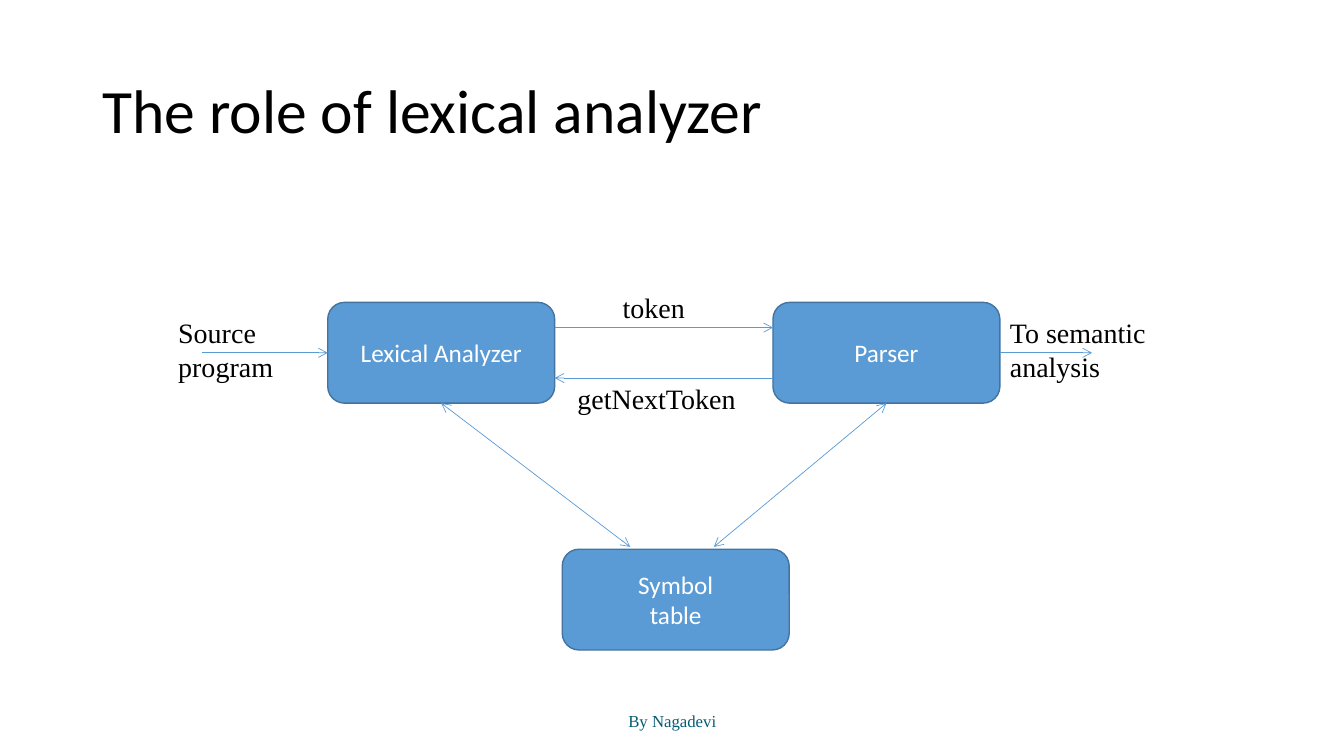
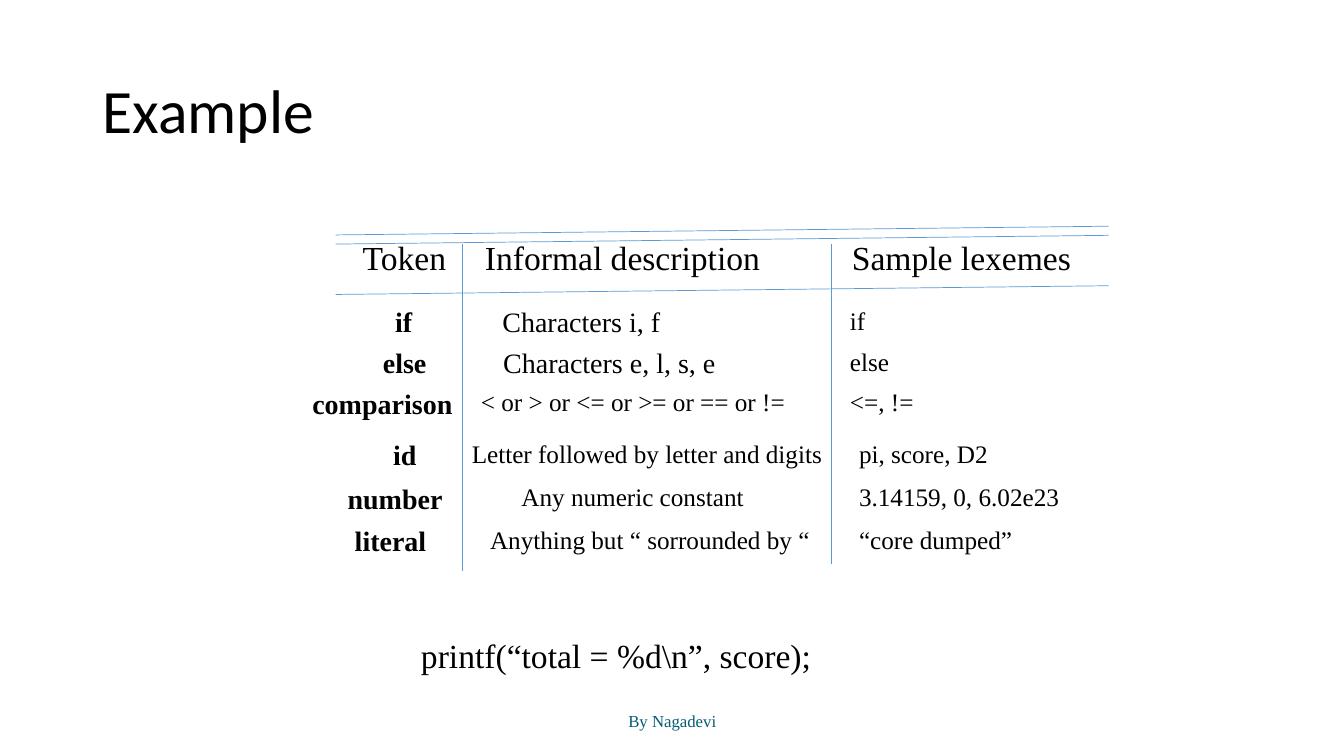
from lxml.etree import SubElement
from pptx import Presentation
from pptx.dml.color import RGBColor
from pptx.enum.shapes import MSO_CONNECTOR as Link, MSO_SHAPE as Shape
from pptx.enum.text import MSO_ANCHOR as Anchor, MSO_AUTO_SIZE as Fit, PP_ALIGN as Align
from pptx.oxml.ns import qn
from pptx.util import Cm, Pt

# Colours and text styles shared by the slides
BLACK = RGBColor(0x00, 0x00, 0x00)
WHITE = RGBColor(0xFF, 0xFF, 0xFF)
BLUE = RGBColor(0x5B, 0x9B, 0xD5)
DARK_BLUE = RGBColor(0x43, 0x73, 0x9E)
TEAL = RGBColor(0x04, 0x5C, 0x75)

SANS, SERIF = "Calibri", "Times New Roman"
TITLE = {"name": SANS, "size": Pt(44), "color": BLACK}
NODE = {"name": SANS, "size": Pt(18), "color": WHITE}
LABEL = {"name": SERIF, "size": Pt(20), "color": BLACK}
HEADING = {**LABEL, "size": Pt(24), "bold": False}
KEYWORD = {**LABEL, "bold": True}
SMALL = {**LABEL, "size": Pt(18)}
FOOTER = {"name": SERIF, "size": Pt(12), "color": TEAL}


def write(frame, text, style, align=Align.LEFT):
    frame.text = text
    for para in frame.paragraphs:
        para.alignment = align
        for name, value in style.items():
            if name == "color":
                para.runs[0].font.color.rgb = value
            else:
                setattr(para.runs[0].font, name, value)


def add_label(page, text, left, top, width, height, style=LABEL):
    box = page.shapes.add_textbox(Cm(left), Cm(top), Cm(width), Cm(height))
    box.text_frame.word_wrap = False
    box.text_frame.auto_size = Fit.SHAPE_TO_FIT_TEXT
    write(box.text_frame, text, style)


def add_line(page, start, end, arrows=()):
    points = [Cm(value) for value in (*start, *end)]
    line = page.shapes.add_connector(Link.STRAIGHT, *points)
    line.line.color.rgb = BLUE
    line.line.width = Pt(0.5)
    outline = line.line._get_or_add_ln()
    for end_name in arrows:
        SubElement(outline, qn("a:" + end_name), type="arrow")
    SubElement(line._element.spPr, qn("a:effectLst"))
    return line


def add_node(page, text, left, top):
    node = page.shapes.add_shape(
        Shape.ROUNDED_RECTANGLE, Cm(left), Cm(top), Cm(NODE_WIDTH), Cm(NODE_HEIGHT))
    node.shadow.inherit = False
    node.fill.solid()
    node.fill.fore_color.rgb = BLUE
    node.line.color.rgb = DARK_BLUE
    node.line.width = Pt(1)
    node.text_frame.vertical_anchor = Anchor.MIDDLE
    write(node.text_frame, text, NODE, Align.CENTER)
    return node


def add_page(deck, heading):
    """Title-only slide with the common title and footer."""
    page = deck.slides.add_slide(deck.slide_layouts[5])
    title = page.shapes.title
    title.left, title.top, title.width, title.height = Cm(2.33), Cm(1.02), Cm(29.21), Cm(3.68)
    title.text_frame.auto_size = Fit.NONE
    title.text_frame.vertical_anchor = Anchor.MIDDLE
    write(title.text_frame, heading, TITLE)
    title.text_frame.paragraphs[0].line_spacing = 0.9

    footer = page.shapes.add_textbox(Cm(11.23), Cm(17.65), Cm(11.43), Cm(1.02))
    footer.text_frame.word_wrap = True
    footer.text_frame.vertical_anchor = Anchor.MIDDLE
    write(footer.text_frame, "By Nagadevi", FOOTER, Align.CENTER)
    return page


# Lexical analyzer diagram
NODE_WIDTH, NODE_HEIGHT = 5.72, 2.54
TOP, LEFT, BOTTOM, RIGHT = range(4)
DIAGRAM_LABELS = [  # text, left, top, width, height
    ("Source\nprogram", 0, 0.64, 2.92, 1.96),
    ("token", 11.2, 0, 2.08, 1.12),
    ("getNextToken", 10.06, 2.29, 4.55, 1.12),
    ("To semantic\nanalysis", 20.96, 0.64, 3.96, 1.96),
]


def add_diagram(page, left, top):
    lexer_left, parser_left = left + 4.02, left + 15.24
    node_top, symbol_top = top + 0.43, top + 6.71
    lexer = add_node(page, "Lexical Analyzer", lexer_left, node_top)
    parser = add_node(page, "Parser", parser_left, node_top)
    add_node(page, "Symbol\ntable", left + 9.93, top + 6.65)

    # Input and output
    middle = node_top + NODE_HEIGHT / 2
    parser_right = parser_left + NODE_WIDTH
    source = add_line(page, (left + 0.84, middle), (lexer_left, middle), ["tailEnd"])
    source.end_connect(lexer, LEFT)
    output = add_line(page, (parser_right, middle), (parser_right + 2.32, middle), ["tailEnd"])
    output.begin_connect(parser, RIGHT)

    # Exchange between analyzer and parser, at a quarter of the height
    upper, lower = node_top + NODE_HEIGHT / 4, node_top + NODE_HEIGHT * 3 / 4
    lexer_right = lexer_left + NODE_WIDTH
    add_line(page, (lexer_right, upper), (parser_left, upper), ["tailEnd"])
    add_line(page, (parser_left, lower), (lexer_right, lower), ["tailEnd"])

    # Links to the symbol table
    for node, node_left, target in ((lexer, lexer_left, 11.64), (parser, parser_left, 13.75)):
        start = (node_left + NODE_WIDTH / 2, node_top + NODE_HEIGHT)
        link = add_line(page, start, (left + target, symbol_top - 0.12), ["headEnd", "tailEnd"])
        link.begin_connect(node, BOTTOM)

    for text, x, y, width, height in DIAGRAM_LABELS:
        add_label(page, text, left + x, top + y, width, height)


# Token table
COLUMN_WIDTHS = [4.02, 9.32, 6.98]
ROW_HEIGHTS = [1.7, 1.04, 1.02, 1.3, 1.09, 1.07, 1.14]
TOKEN_ROWS = [  # text, indent and style of each cell
    [("Token", 1.52, HEADING), ("Informal description", 0.58, HEADING),
     ("Sample lexemes", 0.51, HEADING)],
    [("if", 2.34, KEYWORD), ("Characters i, f", 1.02, LABEL), ("if", 0.46, SMALL)],
    [("else", 2.03, KEYWORD), ("Characters e, l, s, e", 1.04, LABEL), ("else", 0.46, SMALL)],
    [("comparison", 0.25, KEYWORD), ("< or > or <= or >= or == or !=", 0.48, SMALL),
     ("<=, !=", 0.46, SMALL)],
    [("id", 2.29, KEYWORD), ("Letter followed by letter and digits", 0.25, SMALL),
     ("pi, score, D2", 0.69, SMALL)],
    [("number", 1.14, KEYWORD), ("Any numeric constant", 1.5, SMALL),
     ("3.14159, 0, 6.02e23", 0.69, SMALL)],
    [("literal", 1.32, KEYWORD), ("Anything but “ sorrounded by “", 0.71, SMALL),
     ("“core dumped”", 0.69, SMALL)],
]


def add_token_table(page, left, top):
    width, height = sum(COLUMN_WIDTHS), sum(ROW_HEIGHTS)
    table = page.shapes.add_table(
        len(ROW_HEIGHTS), len(COLUMN_WIDTHS), Cm(left), Cm(top), Cm(width), Cm(height)).table
    table.first_row = table.horz_banding = False
    for column, column_width in zip(table.columns, COLUMN_WIDTHS):
        column.width = Cm(column_width)
    for row, row_height, entries in zip(table.rows, ROW_HEIGHTS, TOKEN_ROWS):
        row.height = Cm(row_height)
        for cell, (text, indent, style) in zip(row.cells, entries):
            cell.fill.background()
            cell.margin_left, cell.margin_top = Cm(indent), Cm(0.13)
            cell.margin_right = cell.margin_bottom = 0
            write(cell.text_frame, text, style)

    # Slightly rising rules, then the column rules
    for y in (0, 0.23, 1.5):
        add_line(page, (left + 0.84, top + y), (left + width, top + y - 0.22))
    first_edge = left + COLUMN_WIDTHS[0]
    for x, bottom in ((first_edge, 8.48), (first_edge + COLUMN_WIDTHS[1], 8.28)):
        add_line(page, (x, top + 0.23), (x, top + bottom))


def main():
    deck = Presentation()
    deck.slide_width, deck.slide_height = Cm(33.87), Cm(19.05)

    role_page = add_page(deck, "The role of lexical analyzer")
    add_diagram(role_page, 4.24, 7.19)

    example_page = add_page(deck, "Example")
    add_token_table(example_page, 7.62, 5.92)
    add_label(example_page, r"printf(“total = %d\n”, score);", 10.36, 15.88, 10.44, 1.3, HEADING)

    deck.save("out.pptx")


if __name__ == "__main__":
    main()
